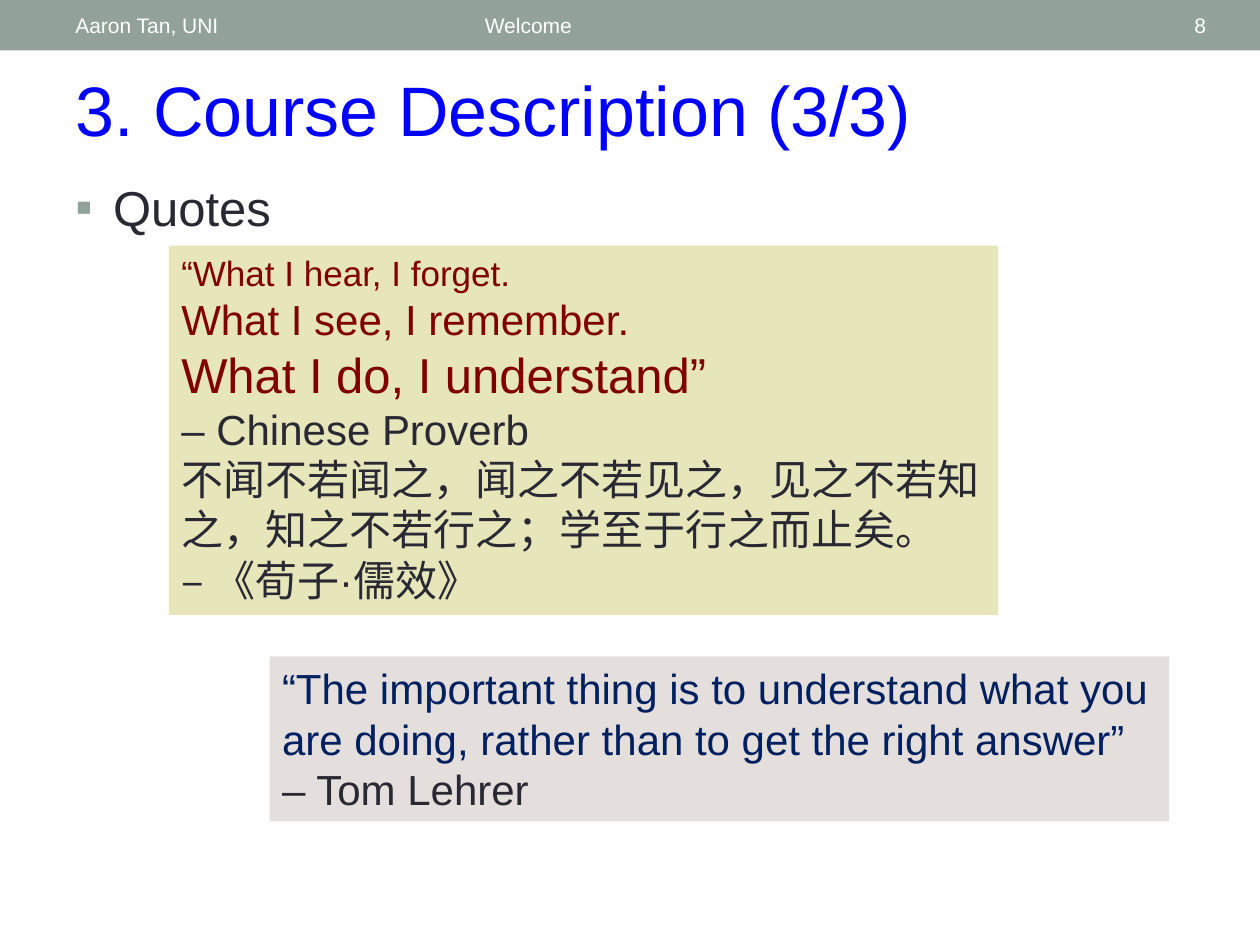
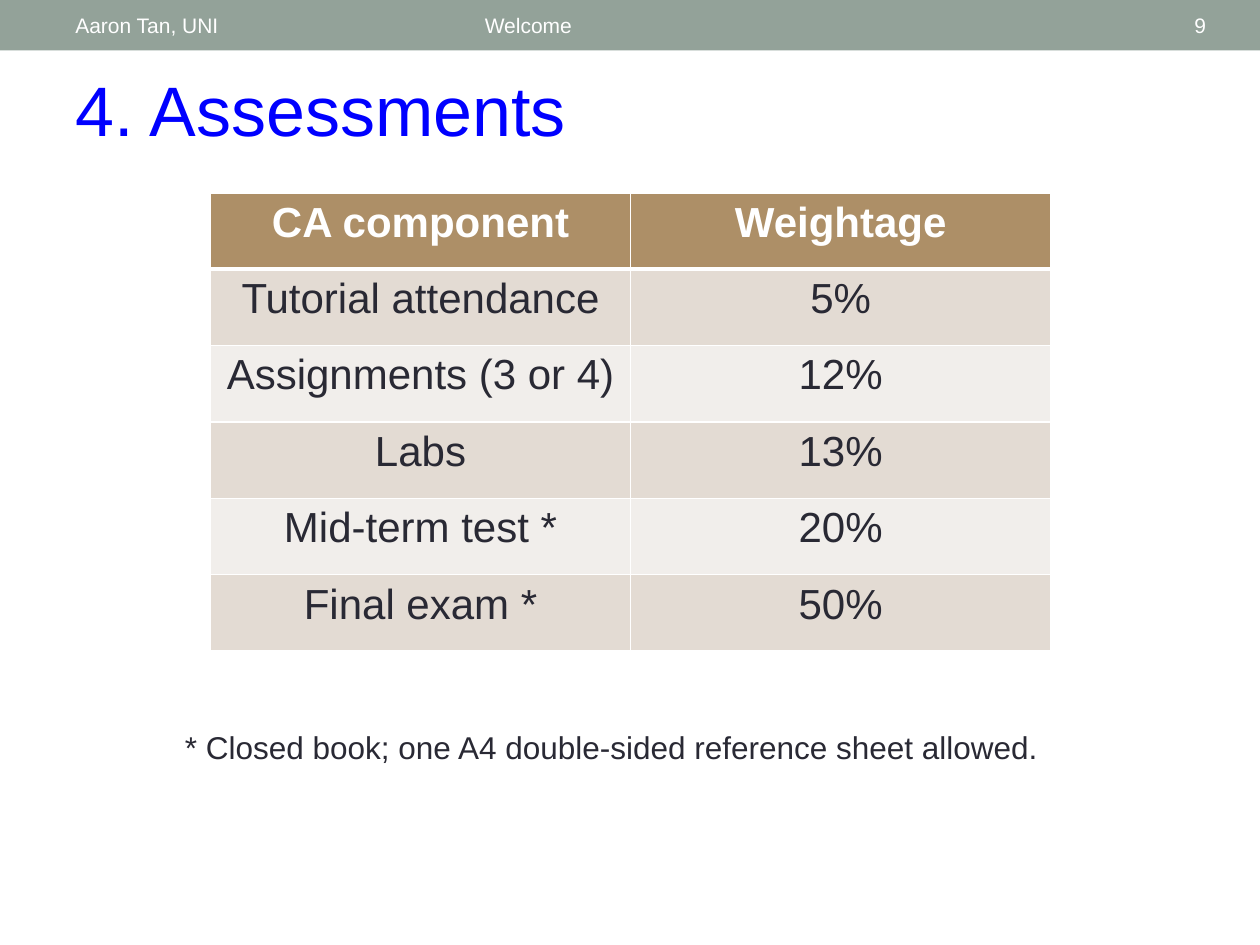
from lxml.etree import SubElement
from pptx import Presentation
from pptx.dml.color import RGBColor
from pptx.enum.shapes import MSO_SHAPE
from pptx.enum.text import MSO_ANCHOR as Anchor, MSO_AUTO_SIZE as AutoSize, PP_ALIGN as Align
from pptx.oxml.ns import qn
from pptx.util import Inches, Pt

FONT = "Arial"
WHITE = RGBColor(0xFF, 0xFF, 0xFF)
SAGE = RGBColor(0x93, 0xA2, 0x99)
TITLE_BLUE = RGBColor(0x00, 0x00, 0xFF)
INK = RGBColor(0x29, 0x29, 0x34)
MAROON = RGBColor(0x80, 0x00, 0x00)
NAVY = RGBColor(0x00, 0x20, 0x60)
CREAM = RGBColor(0xE7, 0xE5, 0xBA)
PALE_TAUPE = RGBColor(0xE4, 0xDF, 0xDC)
HEADER_BROWN = RGBColor(0xAD, 0x8F, 0x67)
ROW_FILLS = (RGBColor(0xE3, 0xDB, 0xD3), RGBColor(0xF1, 0xEE, 0xEB))

BAND_BOX = (0, 0, 10, 0.4)
TITLE_BOX = (0.5, 0.48, 9, 0.77)
BODY_BOX = (0.5, 1.36, 9, 5.76)
PROVERB_BOX = (1.34, 1.95, 6.58, 2.93)
LEHRER_BOX = (2.14, 5.21, 7.14, 1.31)
TABLE_BOX = (1.67, 1.53, 6.67, 3.64)
NOTE_BOX = (1.37, 5.73, 7.57, 0.4)

PROVERB = (
    ("“What I hear, I forget.\vWhat I see, I remember.\vWhat I do, I understand”",
     ((20, MAROON), (24, MAROON), (28, MAROON))),
    ("– Chinese Proverb\v不闻不若闻之，闻之不若见之，见之不若知之，知之不若行之；学至于行之而止矣。\v– 《荀子·儒效》",
     ((24, INK),) * 3),
)
LEHRER = (
    ("“The important thing is to understand what you are doing, "
     "rather than to get the right answer”\v– Tom Lehrer",
     ((24, NAVY), (24, INK))),
)
ASSESSMENTS = (
    ("CA component", "Weightage"),
    ("Tutorial attendance", "5%"),
    ("Assignments (3 or 4)", "12%"),
    ("Labs", "13%"),
    ("Mid-term test *", "20%"),
    ("Final exam *", "50%"),
)


def inches(box):
    """Convert a box given in inches to lengths."""
    return [Inches(value) for value in box]


def format_paragraph(paragraph, styles, align=Align.LEFT, bold=False):
    """Give each run of a paragraph its size and colour."""
    paragraph.alignment = align
    for run, (size, color) in zip(paragraph.runs, styles):
        run.font.name = FONT
        run.font.size = Pt(size)
        run.font.bold = bold
        run.font.color.rgb = color


def add_text(slide, box, text, size, color, align=Align.LEFT, anchor=Anchor.TOP):
    """Add a one-paragraph text box and return its paragraph."""
    text_frame = slide.shapes.add_textbox(*inches(box)).text_frame
    text_frame.word_wrap = True
    text_frame.vertical_anchor = anchor
    text_frame.text = text
    paragraph = text_frame.paragraphs[0]
    format_paragraph(paragraph, [(size, color)], align)
    return paragraph


def add_rectangle(slide, box, color):
    """Add a plain filled rectangle."""
    shape = slide.shapes.add_shape(MSO_SHAPE.RECTANGLE, *inches(box))
    shape.shadow.inherit = False
    shape.fill.solid()
    shape.fill.fore_color.rgb = color
    shape.line.fill.background()
    return shape


def add_band(slide, box, number):
    """Add the top band with author, topic and page number."""
    left, top, width, height = box
    add_rectangle(slide, box, SAGE)
    labels = (
        ("Aaron Tan, UNI", 0.5, 3.17, Align.LEFT),
        ("Welcome", 3.75, 4.5, Align.LEFT),
        (str(number), 8.48, 1.19, Align.RIGHT),
    )
    for text, offset, label_width, align in labels:
        label_box = (left + offset, top + 0.02, label_width, height - 0.04)
        add_text(slide, label_box, text, 12, WHITE, align, Anchor.MIDDLE)


def add_titled_slide(presentation, title, number):
    """Add a slide with the shared band and title."""
    slide = presentation.slides.add_slide(presentation.slide_layouts[5])
    add_band(slide, BAND_BOX, number)
    shape = slide.shapes.title
    shape.left, shape.top, shape.width, shape.height = inches(TITLE_BOX)
    text_frame = shape.text_frame
    text_frame.text = title
    text_frame.auto_size = AutoSize.NONE
    text_frame.vertical_anchor = Anchor.TOP
    format_paragraph(text_frame.paragraphs[0], [(40, TITLE_BLUE)])
    return slide


def add_bullet(slide, box, text):
    """Add a first-level bullet with a square marker."""
    paragraph = add_text(slide, box, text, 28, INK)
    paragraph.space_after = Pt(6)
    properties = paragraph._p.get_or_add_pPr()
    properties.set("marL", str(Inches(0.3)))
    properties.set("indent", str(-Inches(0.3)))
    bullet_color = SubElement(properties, qn("a:buClr"))
    SubElement(bullet_color, qn("a:srgbClr"), val=str(SAGE))
    SubElement(properties, qn("a:buFont"), typeface=FONT)
    SubElement(properties, qn("a:buChar"), char="▪")


def add_quote(slide, box, color, paragraphs):
    """Add a filled quote box with styled lines."""
    text_frame = add_rectangle(slide, box, color).text_frame
    text_frame.word_wrap = True
    text_frame.vertical_anchor = Anchor.TOP
    text_frame.text = "\n".join(text for text, _ in paragraphs)
    for paragraph, (_, styles) in zip(text_frame.paragraphs, paragraphs):
        format_paragraph(paragraph, styles)


def set_borders(cell, top, bottom):
    """Draw white cell borders with the given top and bottom widths."""
    properties = cell._tc.get_or_add_tcPr()
    for side, width in zip("LRTB", (1, 1, top, bottom)):
        line = SubElement(properties, qn(f"a:ln{side}"), w=str(Pt(width)))
        fill = SubElement(line, qn("a:solidFill"))
        SubElement(fill, qn("a:srgbClr"), val=str(WHITE))


def add_assessment_table(slide, box, rows):
    """Add the table of components and weightages."""
    table = slide.shapes.add_table(len(rows), len(rows[0]), *inches(box)).table
    for row_index, row in enumerate(rows):
        header = row_index == 0
        for column_index, text in enumerate(row):
            cell = table.cell(row_index, column_index)
            set_borders(cell, 3 if row_index == 1 else 1, 3 if header else 1)
            cell.fill.solid()
            cell.fill.fore_color.rgb = HEADER_BROWN if header else ROW_FILLS[(row_index - 1) % 2]
            cell.text_frame.text = text
            style = (24, WHITE if header else INK)
            format_paragraph(cell.text_frame.paragraphs[0], [style], Align.CENTER, header)


def build_quotes_slide(presentation):
    """Build the course description slide with two quotes."""
    slide = add_titled_slide(presentation, "3. Course Description (3/3)", 8)
    add_bullet(slide, BODY_BOX, "Quotes")
    add_quote(slide, PROVERB_BOX, CREAM, PROVERB)
    add_quote(slide, LEHRER_BOX, PALE_TAUPE, LEHRER)


def build_assessments_slide(presentation):
    """Build the assessments slide with its table and note."""
    slide = add_titled_slide(presentation, "4. Assessments", 9)
    add_assessment_table(slide, TABLE_BOX, ASSESSMENTS)
    add_text(slide, NOTE_BOX, "* Closed book; one A4 double-sided reference sheet allowed.", 18, INK)


def main():
    """Build and save the presentation."""
    presentation = Presentation()
    presentation.slide_width = Inches(10)
    presentation.slide_height = Inches(7.5)
    build_quotes_slide(presentation)
    build_assessments_slide(presentation)
    presentation.save("out.pptx")


if __name__ == "__main__":
    main()
